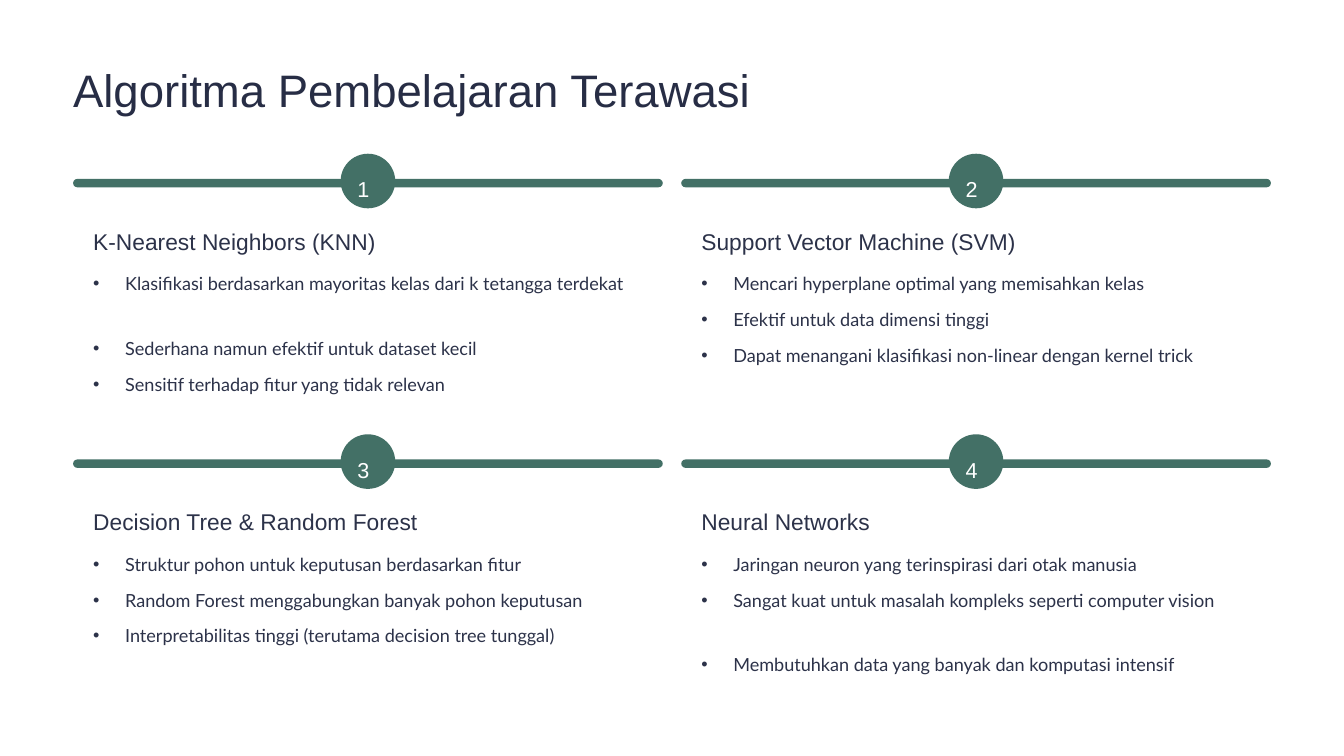
from lxml.etree import SubElement
from pptx import Presentation
from pptx.dml.color import RGBColor
from pptx.enum.shapes import MSO_SHAPE
from pptx.enum.text import MSO_ANCHOR, MSO_AUTO_SIZE, PP_ALIGN
from pptx.oxml.ns import qn
from pptx.util import Inches, Pt

TITLE = "Algoritma Pembelajaran Terawasi"
# Heading, list items, index of the item followed by an extra line of space
CARDS = [
    ("K-Nearest Neighbors (KNN)",
     ["Klasifikasi berdasarkan mayoritas kelas dari k tetangga terdekat",
      "Sederhana namun efektif untuk dataset kecil",
      "Sensitif terhadap fitur yang tidak relevan"], 0),
    ("Support Vector Machine (SVM)",
     ["Mencari hyperplane optimal yang memisahkan kelas",
      "Efektif untuk data dimensi tinggi",
      "Dapat menangani klasifikasi non-linear dengan kernel trick"], None),
    ("Decision Tree & Random Forest",
     ["Struktur pohon untuk keputusan berdasarkan fitur",
      "Random Forest menggabungkan banyak pohon keputusan",
      "Interpretabilitas tinggi (terutama decision tree tunggal)"], None),
    ("Neural Networks",
     ["Jaringan neuron yang terinspirasi dari otak manusia",
      "Sangat kuat untuk masalah kompleks seperti computer vision",
      "Membutuhkan data yang banyak dan komputasi intensif"], 1),
]

WHITE = RGBColor(0xFF, 0xFF, 0xFF)
GREEN = RGBColor(0x43, 0x70, 0x66)
NAVY = RGBColor(0x27, 0x2D, 0x45)
INK = RGBColor(0x2C, 0x32, 0x49)

TITLE_STYLE = {"name": "Arial", "size": Pt(39), "color": NAVY, "line": 48.5}
NUMBER_STYLE = {"name": "Arial", "size": Pt(18.5), "color": WHITE, "line": 30}
HEADING_STYLE = {"name": "Arial", "size": Pt(19.5), "color": INK, "line": 24}
ITEM_STYLE = {"name": "Lato", "size": Pt(15.5), "color": INK, "line": 25}

LEFT, TOP = 0.87, 2.13
COL_STEP, ROW_STEP = 7.24, 3.34
CARD_W, CARD_H = 7.02, 2.79
BADGE = 0.65
PAD = 0.24
TEXT_W = CARD_W - 2 * PAD
ITEM_GAP = 5.5


def place(sp, *box):
    sp.left, sp.top, sp.width, sp.height = (Inches(v) for v in box)


def rounded(s, box, color, radius):
    sp = s.shapes.add_shape(MSO_SHAPE.ROUNDED_RECTANGLE, *(Inches(v) for v in box))
    sp.adjustments[0] = radius
    sp.shadow.inherit = False
    sp.fill.solid()
    sp.fill.fore_color.rgb = color
    sp.line.fill.background()


def write(sp, lines, style, bullets=False, extra=None):
    """Fill a shape with one paragraph per line, without margins."""
    tf = sp.text_frame
    frame = {"margin_left": 0, "margin_top": 0, "margin_right": 0,
             "margin_bottom": 0, "word_wrap": True,
             "auto_size": MSO_AUTO_SIZE.NONE, "vertical_anchor": MSO_ANCHOR.TOP}
    for key, value in frame.items():
        setattr(tf, key, value)
    for i, line in enumerate(lines):
        p = tf.paragraphs[0] if i == 0 else tf.add_paragraph()
        after = ITEM_GAP if bullets else 0
        if bullets:
            pPr = p._p.get_or_add_pPr()
            pPr.set("marL", str(Inches(0.38)))
            pPr.set("indent", str(-Inches(0.38)))
            SubElement(pPr, qn("a:buChar")).set("char", "•")
            if i == extra:
                after += style["line"]
        spacing = {"alignment": PP_ALIGN.LEFT, "line_spacing": Pt(style["line"]),
                   "space_before": Pt(0), "space_after": Pt(after)}
        for key, value in spacing.items():
            setattr(p, key, value)
        r = p.add_run()
        r.text = line
        for key in ("name", "size"):
            setattr(r.font, key, style[key])
        r.font.bold = False
        r.font.color.rgb = style["color"]


def add_text(s, box, text, style):
    write(s.shapes.add_textbox(*(Inches(v) for v in box)), [text], style)


def add_card(s, number, body, heading, items, extra):
    row, col = divmod(number - 1, 2)
    x, y = LEFT + col * COL_STEP, TOP + row * ROW_STEP
    badge_x = x + (CARD_W - BADGE) / 2
    rounded(s, (x, y + 0.02, CARD_W, CARD_H), WHITE, 0.043)
    rounded(s, (x, y, CARD_W, 0.1), GREEN, 0.5)
    rounded(s, (badge_x, y - 0.3, BADGE, BADGE), GREEN, 0.5)
    add_text(s, (badge_x + 0.2, y - 0.14, 0.26, 0.33), str(number), NUMBER_STYLE)
    add_text(s, (x + PAD, y + 0.57, TEXT_W, 0.34), heading, HEADING_STYLE)
    place(body, x + PAD, y + 1.03, TEXT_W, 1.6)
    write(body, items, ITEM_STYLE, bullets=True, extra=extra)
    body.element.getparent().append(body.element)  # in front of the card


def main():
    prs = Presentation()
    prs.slide_width, prs.slide_height = Inches(16), Inches(9)
    s = prs.slides.add_slide(prs.slide_layouts[4])
    title, *bodies = list(s.placeholders)
    place(title, LEFT, 0.72, 8.2, 0.68)
    write(title, [TITLE], TITLE_STYLE)
    for number, (body, card) in enumerate(zip(bodies, CARDS), 1):
        add_card(s, number, body, *card)
    prs.save("out.pptx")


if __name__ == "__main__":
    main()
